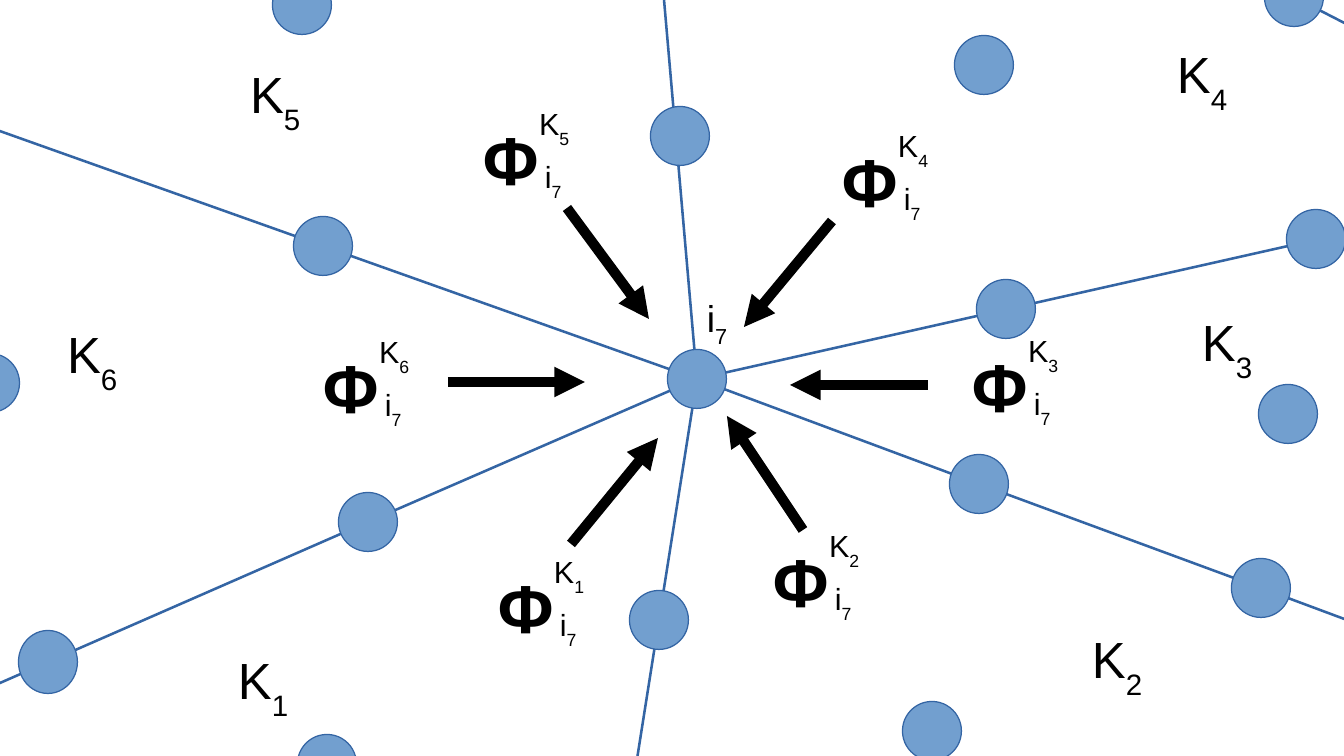
from dataclasses import dataclass

from lxml import etree
from pptx import Presentation
from pptx.dml.color import RGBColor
from pptx.enum.shapes import MSO_CONNECTOR, MSO_SHAPE
from pptx.enum.text import MSO_AUTO_SIZE
from pptx.oxml.ns import qn
from pptx.util import Emu, Pt

STRAIGHT = MSO_CONNECTOR.STRAIGHT
OVAL = MSO_SHAPE.OVAL
GROW = MSO_AUTO_SIZE.SHAPE_TO_FIT_TEXT
EMU_PER_PX = 914400 / 122


@dataclass(frozen=True)
class Theme:
    font: str = "Arial"
    ink: str = "000000"
    edge: str = "3465A4"
    node: str = "729FCF"
    edge_width: float = 1.5
    arrow_width: float = 6
    index_size: int = 18
    hub_size: int = 22
    cell_size: int = 30
    phi_size: int = 40


def px(value):
    return Emu(round(value * EMU_PER_PX))


class Mesh:
    def __init__(self, slide, theme):
        self.s = slide
        self.theme = theme

    def line(self, start, end, color, width):
        c = self.s.shapes.add_connector(STRAIGHT, *map(px, start + end))
        c.line.color.rgb = RGBColor.from_string(color)
        c.line.width = Pt(width)
        etree.SubElement(c._element.spPr, qn("a:effectLst"))
        return c

    def edges(self, points):
        for start, end in zip(points, points[1:]):
            self.line(start, end, self.theme.edge, self.theme.edge_width)

    def arrow(self, start, end):
        c = self.line(start, end, self.theme.ink, self.theme.arrow_width)
        etree.SubElement(c.line._get_or_add_ln(), qn("a:tailEnd"), type="triangle")

    def node(self, center, width=59, height=59):
        x, y = center
        sp = self.s.shapes.add_shape(
            OVAL, px(x - width / 2), px(y - height / 2), px(width), px(height)
        )
        sp.shadow.inherit = False
        sp.fill.solid()
        sp.fill.fore_color.rgb = RGBColor.from_string(self.theme.node)
        sp.line.color.rgb = RGBColor.from_string(self.theme.edge)
        sp.line.width = Emu(0)

    def label(self, at, box, size, text, sub="", bold=False):
        tf = self.s.shapes.add_textbox(*map(px, at + box)).text_frame
        for name, value in {"word_wrap": True, "auto_size": GROW}.items():
            setattr(tf, name, value)
        style = {"name": self.theme.font, "size": Pt(size), "bold": bold}
        p = tf.paragraphs[0]
        for part, baseline in ((text, None), (sub, "-33000")):
            if not part:
                continue
            r = p.add_run()
            r.text = part
            for name, value in style.items():
                setattr(r.font, name, value)
            r.font.color.rgb = RGBColor.from_string(self.theme.ink)
            if baseline:
                r._r.get_or_add_rPr().set("baseline", baseline)

    def flux(self, at, cell):
        x, y = at
        size = self.theme.index_size
        self.label(at, (54, 96), self.theme.phi_size, "Φ", bold=True)
        self.label((x + 56, y - 13), (96, 89), size, "K", cell)
        self.label((x + 62, y + 40), (90, 90), size, "i", "7")


HUB = (697, 379)
TOP, BOTTOM = (680, 136), (659, 620)
LEFT_UP, LEFT_DOWN, LEFT_END = (323, 246), (368, 522), (48, 662)
RIGHT_UP, RIGHT_UP_END = (1006, 309), (1316, 239)
RIGHT_DOWN, RIGHT_DOWN_END = (979, 484), (1261, 588)
CORNER = (1294, -3)
LOOSE = [(984, 65), (302, 5), (-10, 383), (327, 764), (932, 731), (1288, 414)]

CHAINS = [
    [HUB, RIGHT_DOWN, RIGHT_DOWN_END, (1543, 693)],
    [HUB, (1626, 170)],
    [CORNER, (1626, 168)],
    [HUB, (634, -346)],
    [HUB, BOTTOM, (620, 867)],
    [HUB, LEFT_DOWN, LEFT_END, (-281, 806)],
    [HUB, LEFT_UP, (-51, 113)],
]
NODES = [HUB, TOP, BOTTOM, LEFT_UP, LEFT_DOWN, RIGHT_UP, RIGHT_UP_END,
         RIGHT_DOWN, RIGHT_DOWN_END, CORNER] + LOOSE

CELLS = {
    "1": {"name": (226, 643), "flux": (486, 560), "arrow": ((571, 544), (658, 438))},
    "2": {"name": (1080, 622), "flux": (761, 534), "arrow": ((803, 530), (727, 416))},
    "3": {"name": (1190, 305), "flux": (960, 339), "arrow": ((928, 385), (790, 385))},
    "4": {"name": (1165, 37), "flux": (830, 134), "arrow": ((832, 221), (744, 327))},
    "5": {"name": (238, 57), "flux": (471, 112), "arrow": ((567, 208), (649, 319))},
    "6": {"name": (55, 317), "flux": (311, 340), "arrow": ((448, 382), (585, 382))},
}


def main():
    prs = Presentation()
    prs.slide_width, prs.slide_height = px(1344), px(756)
    theme = Theme()
    mesh = Mesh(prs.slides.add_slide(prs.slide_layouts[6]), theme)
    for chain in CHAINS:
        mesh.edges(chain)
    for center in NODES:
        mesh.node(center)
    mesh.node(LEFT_END, height=63)
    for cell, places in CELLS.items():
        mesh.flux(places["flux"], cell)
        mesh.arrow(*places["arrow"])
        mesh.label(places["name"], (96, 89), theme.cell_size, "K", cell)
    mesh.label((695, 289), (90, 90), theme.hub_size, "i", "7")
    prs.save("out.pptx")


if __name__ == "__main__":
    main()
